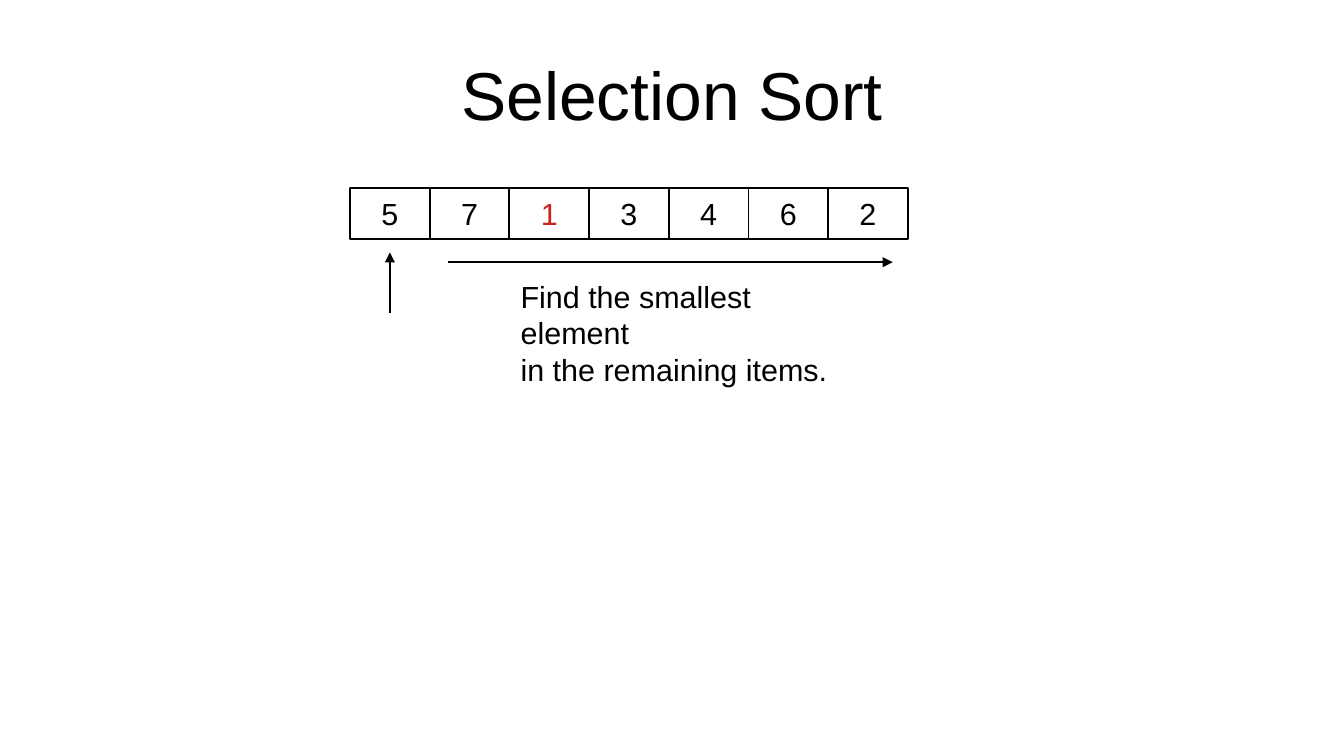
from dataclasses import dataclass

from lxml.etree import SubElement
from pptx import Presentation
from pptx.dml.color import RGBColor
from pptx.enum.shapes import MSO_CONNECTOR, MSO_SHAPE
from pptx.enum.text import MSO_ANCHOR, PP_ALIGN
from pptx.oxml.ns import qn
from pptx.shapes.base import BaseShape
from pptx.slide import Slide
from pptx.util import Pt


@dataclass(frozen=True)
class Theme:
    font: str = "Arial"
    ink: str = "000000"
    paper: str = "FFFFFF"
    mark: str = "C9211E"
    head: float = 40
    body: float = 18
    rule: float = 1


@dataclass(frozen=True)
class Box:
    left: float
    top: float
    width: float
    height: float


@dataclass(frozen=True)
class Label:
    box: Box
    lines: tuple[str, ...]
    size: float
    align: PP_ALIGN
    anchor: MSO_ANCHOR
    pad: tuple[float, float]
    wrap: bool = True


@dataclass(frozen=True)
class Arrow:
    start: tuple[float, float]
    end: tuple[float, float]


THEME = Theme()
CELL = Box(206.64, 110.88, 47.04, 30.24)
ITEMS = (5, 7, 1, 3, 4, 6, 2)
LEAST = min(ITEMS)
LABELS = (
    Label(Box(39.6, 18, 714.24, 74.88), ("Selection Sort",), THEME.head,
          PP_ALIGN.CENTER, MSO_ANCHOR.MIDDLE, (0, 0)),
    Label(Box(300.24, 160.56, 218, 47.52),
          ("Find the smallest element", "in the remaining items."), THEME.body,
          PP_ALIGN.LEFT, MSO_ANCHOR.TOP, (7.2, 3.6)),
)
ARROWS = (
    Arrow((230.16, 185.04), (230.16, 149.04)),
    Arrow((264.24, 154.8), (527.04, 154.8)),
)


def place(box: Box) -> tuple[Pt, Pt, Pt, Pt]:
    """Give a box as four lengths."""
    return Pt(box.left), Pt(box.top), Pt(box.width), Pt(box.height)


def style(target: object, values: dict[str, object]) -> None:
    """Set each named value on the target."""
    for name, value in values.items():
        setattr(target, name, value)


def write(shape: BaseShape, label: Label, color: str) -> None:
    """Fill a shape with the lines of a label."""
    frame = shape.text_frame
    side, edge = map(Pt, label.pad)
    style(frame, {
        "text": "\n".join(label.lines), "word_wrap": label.wrap,
        "vertical_anchor": label.anchor,
        "margin_left": side, "margin_right": side,
        "margin_top": edge, "margin_bottom": edge,
    })
    for para in frame.paragraphs:
        para.alignment = label.align
        for run in para.runs:
            style(run.font, {"name": THEME.font, "size": Pt(label.size)})
            run.font.color.rgb = RGBColor.from_string(color)


def outline(shape: BaseShape) -> None:
    """Draw a thin dark line on a shape."""
    shape.line.color.rgb = RGBColor.from_string(THEME.ink)
    shape.line.width = Pt(THEME.rule)


def add_label(slide: Slide, label: Label) -> None:
    """Add a text box."""
    write(slide.shapes.add_textbox(*place(label.box)), label, THEME.ink)


def add_cell(slide: Slide, index: int, item: int) -> None:
    """Add one cell of the array, marking its smallest item."""
    box = Box(CELL.left + index * CELL.width, CELL.top, CELL.width, CELL.height)
    cell = slide.shapes.add_shape(MSO_SHAPE.RECTANGLE, *place(box))
    cell.shadow.inherit = False
    cell.fill.solid()
    cell.fill.fore_color.rgb = RGBColor.from_string(THEME.paper)
    outline(cell)
    label = Label(box, (str(item),), THEME.body, PP_ALIGN.CENTER,
                  MSO_ANCHOR.MIDDLE, (7.92, 4.32), False)
    write(cell, label, THEME.mark if item == LEAST else THEME.ink)


def add_arrow(slide: Slide, arrow: Arrow) -> None:
    """Add a straight line with a triangle at its end."""
    line = slide.shapes.add_connector(
        MSO_CONNECTOR.STRAIGHT, *map(Pt, arrow.start + arrow.end))
    outline(line)
    SubElement(line.line._get_or_add_ln(), qn("a:tailEnd"), type="triangle")
    SubElement(line._element.spPr, qn("a:effectLst"))


def main() -> None:
    """Build and save the slide."""
    deck = Presentation()
    style(deck, {"slide_width": Pt(793.44), "slide_height": Pt(446.4)})
    slide = deck.slides.add_slide(deck.slide_layouts[6])
    for index, item in enumerate(ITEMS):
        add_cell(slide, index, item)
    for label in LABELS:
        add_label(slide, label)
    for arrow in ARROWS:
        add_arrow(slide, arrow)
    deck.save("out.pptx")


if __name__ == "__main__":
    main()
